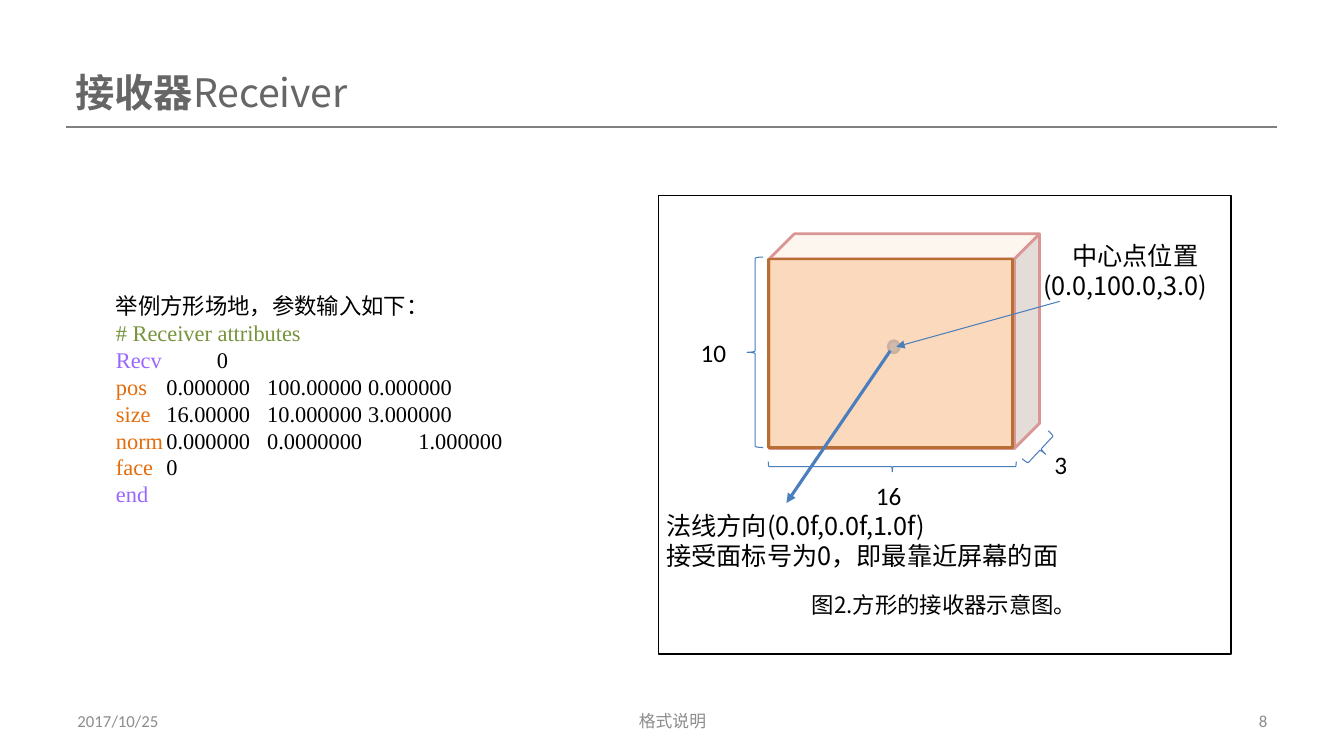
from dataclasses import dataclass

from lxml import etree
from pptx import Presentation
from pptx.dml.color import RGBColor
from pptx.enum import shapes, text
from pptx.oxml import ns
from pptx.util import Inches, Pt

KIND = shapes.MSO_SHAPE
ALIGN = text.PP_ALIGN
ANCHOR = text.MSO_ANCHOR


@dataclass(frozen=True)
class Theme:
    sans: str = "Noto Sans CJK SC"
    latin: str = "Calibri"
    serif: str = "Times New Roman"
    background: str = "FFFFFF"
    black: str = "000000"
    title: str = "666666"
    rule: str = "808080"
    footer: str = "8C8C8C"
    blue: str = "4B7EBC"
    dot: str = "4F81BD"
    dot_edge: str = "3A5F8C"
    box: str = "FDEADA"
    box_edge: str = "D99694"
    face: str = "FAC090"
    face_edge: str = "B76F34"
    comment: str = "77933C"
    keyword: str = "9966FF"
    field: str = "E46C0A"
    title_size: int = 28
    label_size: int = 18
    code_size: int = 16
    footer_size: int = 12


T = Theme()


def sub(parent, tag, **attrs):
    return etree.SubElement(parent, ns.qn(tag), attrs)


def write(tf, lines, *, size=T.label_size, font=T.sans, color=T.black, aligns=(ALIGN.LEFT,),
          anchor=ANCHOR.TOP, wrap=True, spacing=None):
    """Fill a frame; a line is a string or a list of (text, format) runs.

    The last entry of aligns holds for all further lines.
    """
    tf.word_wrap = wrap
    tf.auto_size = text.MSO_AUTO_SIZE.NONE
    tf.vertical_anchor = anchor
    for i, line in enumerate(lines):
        p = tf.paragraphs[0] if i == 0 else tf.add_paragraph()
        p.alignment = aligns[min(i, len(aligns) - 1)]
        p.space_before = Pt(0)
        if spacing:
            p.line_spacing = spacing
        for words, style in [(line, {})] if isinstance(line, str) else line:
            r = p.add_run()
            r.text = words
            r.font.size = Pt(size)
            r.font.bold = style.get("bold", False)
            r.font.color.rgb = RGBColor.from_string(style.get("color", color))
            r.font.name = font
            sub(r.font._element, "a:ea", typeface=T.sans)


class Deck:
    def __init__(self, theme):
        self.theme = theme
        self.prs = Presentation()
        self.prs.slide_width, self.prs.slide_height = Inches(13.33), Inches(7.5)
        self.slide = self.prs.slides.add_slide(self.prs.slide_layouts[1])
        fill = self.slide.background.fill
        fill.solid()
        fill.fore_color.rgb = RGBColor.from_string(theme.background)

    def placeholder(self, idx, box, lines, **fmt):
        sp = self.slide.placeholders[idx]
        sp.left, sp.top, sp.width, sp.height = map(Inches, box)
        write(sp.text_frame, lines, **fmt)
        return sp

    def listing(self, box, lines, **fmt):
        """Put code in the body placeholder, without bullets, with a tab stop at each inch."""
        sp = self.placeholder(1, box, lines, **fmt)
        for p in sp.text_frame.paragraphs:
            pPr = p._p.get_or_add_pPr()
            pPr.set("marL", "0")
            pPr.set("indent", "0")
            sub(pPr, "a:buNone")
            tabs = sub(pPr, "a:tabLst")
            for inch in range(1, 5):
                sub(tabs, "a:tab", pos=str(Inches(inch)), algn="l")

    def label(self, box, *lines, **fmt):
        sp = self.slide.shapes.add_textbox(*map(Inches, box))
        write(sp.text_frame, lines, **fmt)

    def shape(self, kind, box, fill=None, line=None, width=1, alpha=None, rotation=0, adj=None):
        sp = self.slide.shapes.add_shape(kind, *map(Inches, box))
        sp.shadow.inherit = False
        sp.rotation = rotation
        if adj is not None:
            sp.adjustments[0] = adj
        if fill:
            sp.fill.solid()
            sp.fill.fore_color.rgb = RGBColor.from_string(fill)
        else:
            sp.fill.background()
        if alpha:
            color = sp._element.spPr.find(".//" + ns.qn("a:srgbClr"))
            sub(color, "a:alpha", val=str(alpha * 1000))
        if line:
            sp.line.color.rgb = RGBColor.from_string(line)
            sp.line.width = Pt(width)
        else:
            sp.line.fill.background()
        return sp

    def brace(self, kind, box, rotation=0):
        self.shape(kind, box, line=self.theme.blue, width=0.75, rotation=rotation)

    def line(self, start, end, color, width, arrow=False):
        c = self.slide.shapes.add_connector(
            shapes.MSO_CONNECTOR.STRAIGHT, *map(Inches, start + end))
        c.line.color.rgb = RGBColor.from_string(color)
        c.line.width = Pt(width)
        if arrow:
            sub(c.line._get_or_add_ln(), "a:tailEnd", type="triangle")
        sub(c._element.spPr, "a:effectLst")


def add_frame(deck):
    deck.line((0.65, 1.26), (12.67, 1.26), T.rule, 1.5)
    deck.placeholder(0, (0.65, 0.63, 4.02, 0.63),
                     [[("接收器", {"bold": True}), ("Receiver", {})]],
                     size=T.title_size, color=T.title)
    for left, width, words, align in ((0.67, 3.11, "2017/10/25", ALIGN.LEFT),
                                      (4.56, 4.22, "格式说明", ALIGN.CENTER),
                                      (9.56, 3.11, "8", ALIGN.RIGHT)):
        deck.label((left, 6.95, width, 0.4), words, size=T.footer_size, font=T.latin,
                   color=T.footer, aligns=(align,), anchor=ANCHOR.MIDDLE)


def add_code(deck):
    rows = [("Recv ", T.keyword, "\t0"),
            ("pos", T.field, "\t0.000000 \t100.00000 \t0.000000"),
            ("size", T.field, "\t16.00000 \t10.000000 \t3.000000"),
            ("norm", T.field, "\t0.000000 \t0.0000000\t\t1.000000"),
            ("face", T.field, "\t0")]
    lines = ["举例方形场地，参数输入如下：", [("# Receiver attributes", {"color": T.comment})]]
    lines += [[(name, {"color": color}), (values, {})] for name, color, values in rows]
    lines.append([("end", {"color": T.keyword})])
    deck.listing((1.05, 2.85, 5.17, 2.32), lines, size=T.code_size, font=T.serif)


def add_diagram(deck):
    deck.label((10.25, 2.33, 2.02, 0.71), "中心点位置", "(0.0,100.0,3.0)",
               aligns=(ALIGN.CENTER, ALIGN.LEFT))
    deck.shape(KIND.OVAL, (8.81, 3.38, 0.11, 0.12), T.dot, T.dot_edge, 2)
    deck.shape(KIND.CUBE, (7.63, 2.32, 2.68, 2.13), T.box, T.box_edge, 2, alpha=50, adj=0.117)
    deck.brace(KIND.LEFT_BRACE, (7.41, 2.55, 0.16, 1.89))
    deck.brace(KIND.LEFT_BRACE, (8.8, 3.4, 0.1, 2.46), rotation=270)
    deck.brace(KIND.RIGHT_BRACE, (10.25, 4.27, 0.14, 0.38), rotation=43.1)
    for left, top, size in ((6.85, 3.3, "10"), (8.59, 4.72, "16"), (10.36, 4.41, "3")):
        deck.label((left, top, 0.6, 0.4), size, font=T.latin)
    deck.label((6.51, 5.01, 4.84, 0.71), "法线方向(0.0f,0.0f,1.0f)",
               "接受面标号为0，即最靠近屏幕的面")
    deck.shape(KIND.RECTANGLE, (7.62, 2.57, 2.42, 1.87), T.face, T.face_edge, 2, alpha=50)
    deck.line((8.83, 3.48), (7.8, 4.99), T.blue, 2.25, arrow=True)
    deck.line((10.51, 2.99), (8.89, 3.44), T.blue, 0.75, arrow=True)
    caption = deck.shape(KIND.ROUNDED_RECTANGLE, (7.16, 5.77, 4.41, 0.45), adj=0.081)
    write(caption.text_frame, ["图2.方形的接收器示意图。"], size=T.code_size,
          aligns=(ALIGN.CENTER,), anchor=ANCHOR.MIDDLE)
    deck.shape(KIND.RECTANGLE, (6.53, 1.94, 5.68, 4.55), line=T.black)


def main():
    deck = Deck(T)
    add_frame(deck)
    add_code(deck)
    add_diagram(deck)
    deck.prs.save("out.pptx")


if __name__ == "__main__":
    main()
